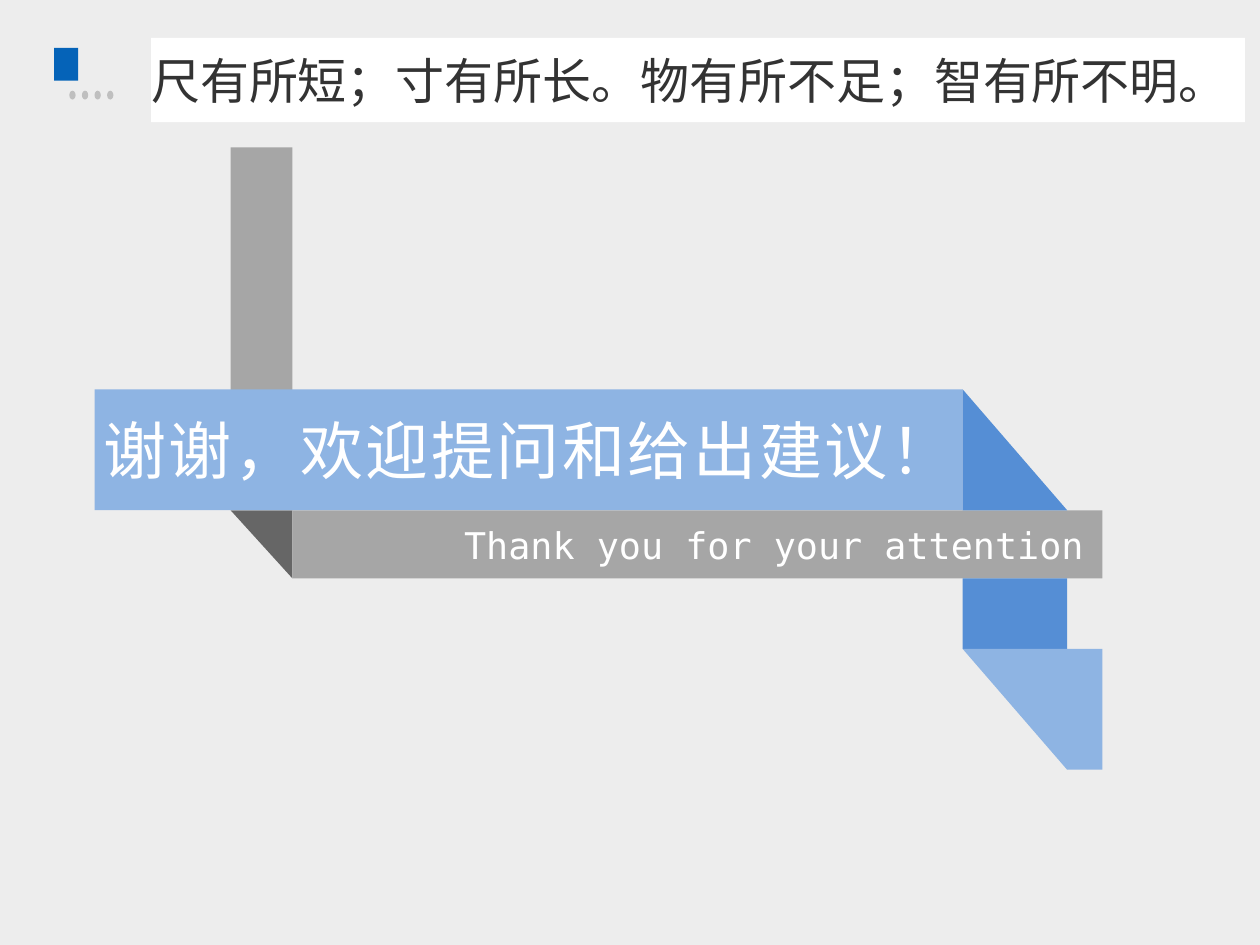
from lxml import etree
from pptx import Presentation
from pptx.dml.color import RGBColor
from pptx.enum.shapes import MSO_SHAPE
from pptx.enum.text import MSO_ANCHOR, MSO_AUTO_SIZE, PP_ALIGN
from pptx.oxml.ns import qn
from pptx.util import Inches, Pt

RECT, OVAL, TRIANGLE = MSO_SHAPE.RECTANGLE, MSO_SHAPE.OVAL, MSO_SHAPE.RIGHT_TRIANGLE
LEFT, CENTER, RIGHT = PP_ALIGN.LEFT, PP_ALIGN.CENTER, PP_ALIGN.RIGHT
TITLE_ONLY = 5

COLORS = {
    "backdrop": "EDEDED", "white": "FFFFFF", "ink": "333333", "dot": "BFBFBF",
    "marker": "0563B8", "gray": "A6A6A6", "gray fold": "666666",
    "blue": "8EB4E3", "blue fold": "558ED5",
}
CJK, MONO = "Noto Sans CJK SC", "DejaVu Sans Mono"

MOTTO = "尺有所短；寸有所长。物有所不足；智有所不明。"
THANKS = "谢谢，欢迎提问和给出建议！"
THANKS_ENGLISH = "Thank you for your attention"

# Edges of the grid that the folded ribbons follow, in inches
COLS = [0.75, 1.83, 2.32, 7.64, 8.47, 8.75]
ROWS = [1.17, 3.09, 4.05, 4.59, 5.15, 6.11]

# Preset, first and last column edge, first and last row edge, colour, rotation, text
RIBBON_PARTS = [
    (RECT, 1, 2, 0, 2, "gray", 0, None),
    (RECT, 2, 5, 2, 3, "gray", 0,
     dict(text=THANKS_ENGLISH, size=21, font=MONO, align=RIGHT, side=0.15)),
    (RECT, 0, 3, 1, 2, "blue", 0,
     dict(text=THANKS, size=36, font=CJK, align=CENTER, spacing=1.5)),
    (RECT, 3, 4, 3, 4, "blue fold", 0, None),
    (TRIANGLE, 3, 4, 1, 2, "blue fold", 0, None),
    (TRIANGLE, 3, 4, 4, 5, "blue", 180, None),
    (RECT, 4, 5, 4, 5, "blue", 0, None),
]
DOT_COUNT, DOT_LEFT, DOT_STEP = 4, 0.55, 0.1


def rgb(name):
    return RGBColor.from_string(COLORS[name])


def paint(shape, color):
    shape.fill.solid()
    shape.fill.fore_color.rgb = rgb(color)
    shape.line.fill.background()


def add_part(slide, preset, left, top, width, height, color):
    part = slide.shapes.add_shape(preset, *map(Inches, (left, top, width, height)))
    part.shadow.inherit = False
    paint(part, color)
    return part


def write(shape, text, size, font, align, color="white", side=0, spacing=0):
    frame = shape.text_frame
    frame.margin_left = frame.margin_right = Inches(side)
    frame.margin_top = frame.margin_bottom = 0
    frame.vertical_anchor = MSO_ANCHOR.MIDDLE
    frame.word_wrap = True
    frame.auto_size = MSO_AUTO_SIZE.NONE
    paragraph = frame.paragraphs[0]
    paragraph.alignment = align
    run = paragraph.add_run()
    run.text = text
    run.font.size = Pt(size)
    run.font.color.rgb = rgb(color)
    run.font.name = font
    properties = run.font._element
    etree.SubElement(properties, qn("a:ea")).set("typeface", font)
    if spacing:
        properties.set("spc", str(round(spacing * 100)))


def add_gray_fold(slide):
    left, right, top, bottom = COLS[1], COLS[2], ROWS[2], ROWS[3]
    builder = slide.shapes.build_freeform(Inches(left), Inches(top))
    builder.add_line_segments(
        [(Inches(right), Inches(bottom)), (Inches(right), Inches(top))], close=True)
    fold = builder.convert_to_shape()
    fold.shadow.inherit = False
    paint(fold, "gray fold")


def main():
    deck = Presentation()
    deck.slide_width, deck.slide_height = Inches(10), Inches(7.5)
    slide = deck.slides.add_slide(deck.slide_layouts[TITLE_ONLY])
    slide.background.fill.solid()
    slide.background.fill.fore_color.rgb = rgb("backdrop")

    title = slide.shapes.title
    title.left, title.top, title.width, title.height = map(Inches, (1.2, 0.3, 8.68, 0.67))
    paint(title, "white")
    write(title, MOTTO, size=28, font=CJK, align=LEFT, color="ink")

    for i in range(DOT_COUNT):
        add_part(slide, OVAL, DOT_LEFT + i * DOT_STEP, 0.72, 0.05, 0.07, "dot")
    add_part(slide, RECT, 0.43, 0.38, 0.19, 0.26, "marker")

    add_gray_fold(slide)
    for preset, col, col_end, row, row_end, color, rotation, label in RIBBON_PARTS:
        left, top = COLS[col], ROWS[row]
        part = add_part(slide, preset, left, top,
                        COLS[col_end] - left, ROWS[row_end] - top, color)
        part.rotation = rotation
        if label:
            write(part, **label)

    deck.save("out.pptx")


if __name__ == "__main__":
    main()
